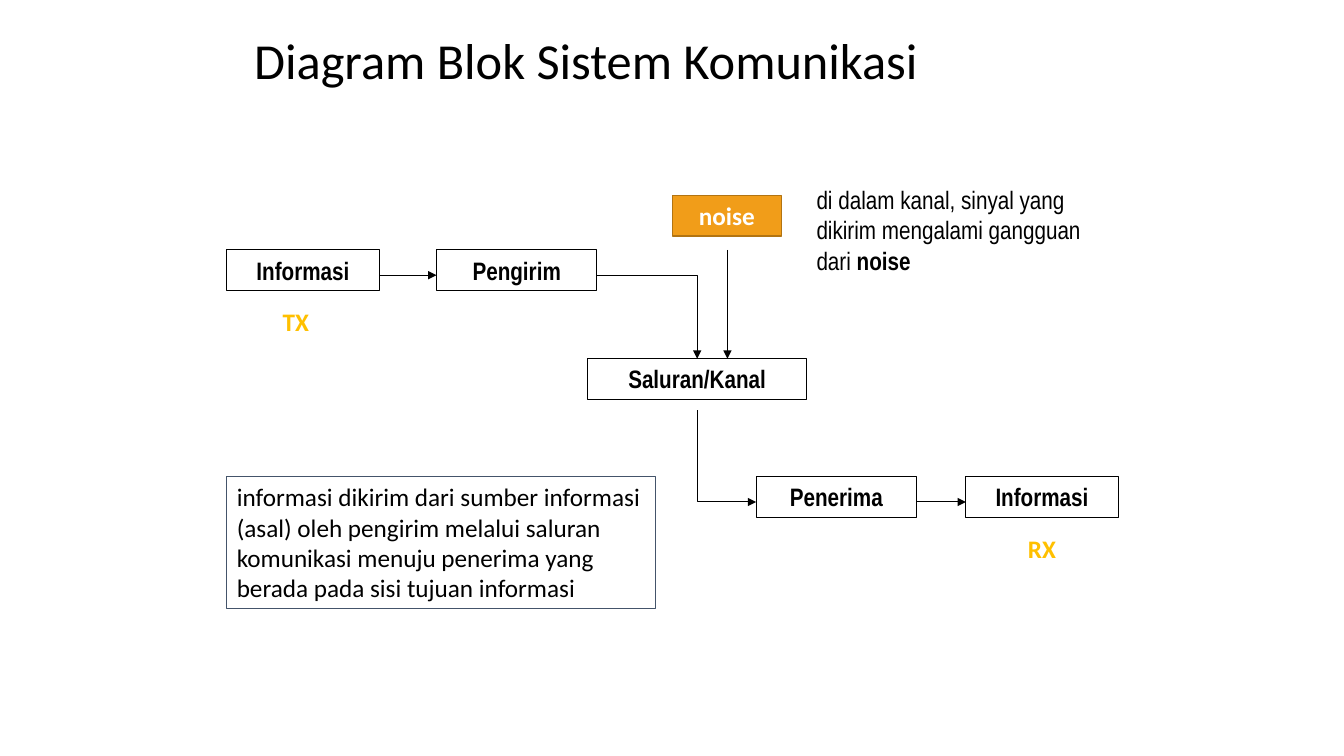
from lxml import etree
from pptx import Presentation
from pptx.dml.color import RGBColor
from pptx.enum.shapes import MSO_CONNECTOR, MSO_SHAPE
from pptx.enum.text import MSO_ANCHOR, MSO_AUTO_SIZE, PP_ALIGN
from pptx.oxml.ns import qn
from pptx.util import Inches, Pt

RECTANGLE = MSO_SHAPE.RECTANGLE
STRAIGHT, ELBOW = MSO_CONNECTOR.STRAIGHT, MSO_CONNECTOR.ELBOW
LEFT, CENTER = PP_ALIGN.LEFT, PP_ALIGN.CENTER
MIDDLE, TOP = MSO_ANCHOR.MIDDLE, MSO_ANCHOR.TOP
GROW = MSO_AUTO_SIZE.SHAPE_TO_FIT_TEXT

COLORS = {"text": "000000", "line": "000000", "noise": "F19D19", "noise_edge": "B27412",
          "noise_text": "FFFFFF", "side": "FFC000", "note_edge": "44546A"}
NARROW, SANS = "Arial Narrow", "Calibri"
BLOCK_HEIGHT = 0.4
PORT = 0.25  # where side arrows meet a block, below its top
SENDER_ROW, CHANNEL_ROW, RECEIVER_ROW = 2.48, 3.56, 4.73
LEFT_EDGE, RIGHT_EDGE = 2.25, 11.09
END_WIDTH, UNIT_WIDTH, CHANNEL_WIDTH = 1.51, 1.59, 2.17
SENDER_LEFT, CHANNEL_LEFT, RECEIVER_LEFT = 4.33, 5.83, 7.5
CHANNEL_CENTER = CHANNEL_LEFT + CHANNEL_WIDTH / 2
LABEL_GAP = 0.51


def color(name):
    return RGBColor.from_string(COLORS[name])


def format_runs(paragraph, font, size, fill, bold=False):
    for run in paragraph.runs:
        run.font.name, run.font.size, run.font.bold = font, Pt(size), bold
        run.font.color.rgb = color(fill)


def write(shape, text, font, fill="text", bold=False, align=CENTER):
    frame = shape.text_frame
    frame.text = text
    frame.word_wrap, frame.auto_size, frame.vertical_anchor = True, GROW, TOP
    paragraph = frame.paragraphs[0]
    paragraph.alignment = align
    format_runs(paragraph, font, 18, fill, bold)
    return paragraph


def add_text(slide, box, *args, **style):
    shape = slide.shapes.add_textbox(*map(Inches, box))
    return write(shape, *args, **style)


def add_block(slide, box, text, font=NARROW, fill=None, edge="line", width=0.75,
              text_color="text", bold=True, align=CENTER):
    shape = slide.shapes.add_shape(RECTANGLE, *map(Inches, box))
    shape.shadow.inherit = False
    if fill:
        shape.fill.solid()
        shape.fill.fore_color.rgb = color(fill)
    else:
        shape.fill.background()
    shape.line.color.rgb = color(edge)
    shape.line.width = Pt(width)
    write(shape, text, font, text_color, bold, align)


def add_arrow(slide, start, end, kind=STRAIGHT):
    connector = slide.shapes.add_connector(kind, *map(Inches, (*start, *end)))
    connector.line.color.rgb = color("line")
    connector.line.width = Pt(0.75)
    etree.SubElement(connector.line._get_or_add_ln(), qn("a:tailEnd"), type="triangle")
    properties = connector._element.spPr
    etree.SubElement(properties, qn("a:effectLst"))
    if kind == ELBOW:
        properties.find(qn("a:prstGeom")).set("prst", "bentConnector2")
    return connector


def add_down_then_right_arrow(slide, start, end):
    """A right-then-down elbow, mirrored and turned a quarter about its centre."""
    center_x, center_y = (start[0] + end[0]) / 2, (start[1] + end[1]) / 2
    half_run, half_drop = (end[0] - start[0]) / 2, (end[1] - start[1]) / 2
    connector = add_arrow(slide, (center_x + half_drop, center_y - half_run),
                          (center_x - half_drop, center_y + half_run), ELBOW)
    connector._element.spPr.find(qn("a:xfrm")).set("rot", str(270 * 60000))


def add_title(slide, box, text):
    title = slide.shapes.title
    title.left, title.top, title.width, title.height = map(Inches, box)
    frame = title.text_frame
    frame.text = text
    frame.word_wrap, frame.vertical_anchor = True, MIDDLE
    paragraph = frame.paragraphs[0]
    paragraph.alignment, paragraph.line_spacing = LEFT, 0.9
    format_runs(paragraph, SANS, 36, "text")


def add_blocks(slide):
    for left, top, width, text in (
        (LEFT_EDGE, SENDER_ROW, END_WIDTH, "Informasi"),
        (SENDER_LEFT, SENDER_ROW, UNIT_WIDTH, "Pengirim"),
        (CHANNEL_LEFT, CHANNEL_ROW, CHANNEL_WIDTH, "Saluran/Kanal"),
        (RECEIVER_LEFT, RECEIVER_ROW, UNIT_WIDTH, "Penerima"),
        (RIGHT_EDGE - END_WIDTH, RECEIVER_ROW, END_WIDTH, "Informasi"),
    ):
        add_block(slide, (left, top, width, BLOCK_HEIGHT), text)
    add_block(slide, (6.67, 1.94, 1.08, BLOCK_HEIGHT), "noise", font=SANS, fill="noise",
              edge="noise_edge", width=1, text_color="noise_text")
    for left, row, width, text in ((2.42, SENDER_ROW, 1.03, "TX"),
                                   (9.67, RECEIVER_ROW, 1.33, "RX")):
        add_text(slide, (left, row + LABEL_GAP, width, BLOCK_HEIGHT), text, SANS,
                 fill="side", bold=True)


def add_arrows(slide):
    sender_y, receiver_y = SENDER_ROW + PORT, RECEIVER_ROW + PORT
    noise_x = CHANNEL_CENTER + 0.3
    add_arrow(slide, (LEFT_EDGE + END_WIDTH, sender_y), (SENDER_LEFT, sender_y))
    add_arrow(slide, (SENDER_LEFT + UNIT_WIDTH, sender_y), (CHANNEL_CENTER, CHANNEL_ROW), ELBOW)
    add_arrow(slide, (noise_x, SENDER_ROW), (noise_x, CHANNEL_ROW))
    add_down_then_right_arrow(slide, (CHANNEL_CENTER, CHANNEL_ROW + LABEL_GAP),
                              (RECEIVER_LEFT, receiver_y))
    add_arrow(slide, (RECEIVER_LEFT + UNIT_WIDTH, receiver_y),
              (RIGHT_EDGE - END_WIDTH, receiver_y))


def add_notes(slide):
    add_block(slide, (LEFT_EDGE, RECEIVER_ROW, 4.25, 1.31),
              "informasi dikirim dari sumber informasi (asal) oleh pengirim melalui saluran "
              "komunikasi menuju penerima yang berada pada sisi tujuan informasi",
              font=SANS, edge="note_edge", bold=False, align=LEFT)
    paragraph = add_text(slide, (8, 1.78, 3.09, 1.01),
                         "di dalam kanal, sinyal yang dikirim mengalami gangguan dari ",
                         NARROW, align=LEFT)
    paragraph.add_run().text = "noise"
    format_runs(paragraph, NARROW, 18, "text")
    paragraph.runs[-1].font.bold = True


def main():
    presentation = Presentation()
    presentation.slide_width, presentation.slide_height = Inches(13.33), Inches(7.5)
    slide = presentation.slides.add_slide(presentation.slide_layouts[5])
    add_title(slide, (2.42, 0.25, 8.5, 0.75), "Diagram Blok Sistem Komunikasi")
    add_blocks(slide)
    add_arrows(slide)
    add_notes(slide)
    presentation.save("out.pptx")


if __name__ == "__main__":
    main()
